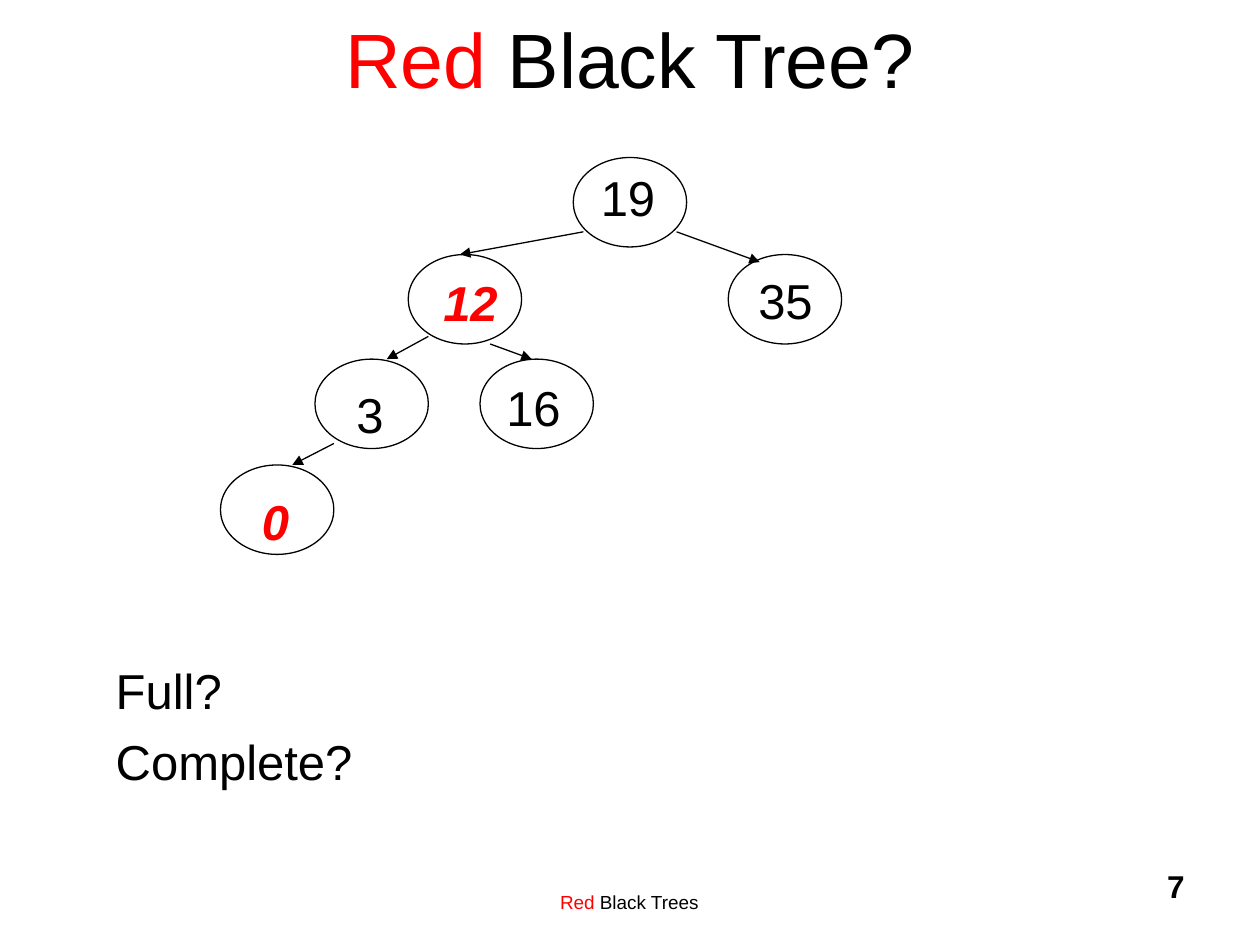
from lxml import etree
from pptx import Presentation
from pptx.dml.color import RGBColor
from pptx.enum import shapes, text
from pptx.oxml.ns import qn
from pptx.util import Inches, Pt

BLACK, RED = "000000", "FF0000"
NODE_WIDTH, NODE_HEIGHT = 0.9, 0.71
LABEL_HEIGHT = 0.57

# value, node left, node top, label left, label top, is red
NODES = [
    ("19", 4.55, 1.25, 4.67, 1.28, False),
    ("12", 3.24, 2.02, 3.42, 2.11, True),
    ("35", 5.78, 2.02, 5.92, 2.10, False),
    ("3", 2.50, 2.85, 2.73, 3.00, False),
    ("16", 3.81, 2.85, 3.92, 2.95, False),
    ("0", 1.75, 3.69, 1.98, 3.85, True),
]
EDGES = [
    ((4.63, 1.84), (3.65, 2.02)),
    ((5.37, 1.84), (6.03, 2.08)),
    ((3.40, 2.67), (3.07, 2.85)),
    ((3.89, 2.73), (4.22, 2.85)),
    ((2.65, 3.52), (2.32, 3.69)),
]
TITLE = [("Red", RED), (" Black Tree?", BLACK)]
FOOTER = [("Red", RED), (" Black Trees", BLACK)]
QUESTIONS = ["Full?", "Complete?"]
SLIDE_NUMBER = "7"


def color(value):
    return RGBColor.from_string(value)


def add_text(slide, paragraphs, box, size=28, bold=False, italic=False,
             align=text.PP_ALIGN.LEFT, anchor=text.MSO_ANCHOR.TOP,
             wrap=True, before=0, top_inset=0.05):
    shape = slide.shapes.add_textbox(*map(Inches, box))
    frame = shape.text_frame
    frame.word_wrap = wrap
    frame.auto_size = (text.MSO_AUTO_SIZE.NONE if wrap
                       else text.MSO_AUTO_SIZE.SHAPE_TO_FIT_TEXT)
    frame.vertical_anchor = anchor
    frame.margin_top = Inches(top_inset)
    for index, runs in enumerate(paragraphs):
        paragraph = frame.add_paragraph() if index else frame.paragraphs[0]
        paragraph.alignment = align
        paragraph.space_before = Pt(before)
        for words, tint in runs:
            run = paragraph.add_run()
            run.text = words
            run.font.name = "Arial"
            run.font.size = Pt(size)
            run.font.bold = bold
            run.font.italic = italic
            run.font.color.rgb = color(tint)


def add_node(slide, value, left, top, label_left, label_top, is_red):
    node = slide.shapes.add_shape(
        shapes.MSO_SHAPE.OVAL, *map(Inches, (left, top, NODE_WIDTH, NODE_HEIGHT)))
    node.shadow.inherit = False
    node.fill.background()
    node.line.color.rgb = color(BLACK)
    node.line.width = Pt(0.75)
    label_width = 0.63 if len(value) == 2 else 0.41
    add_text(slide, [[(value, RED if is_red else BLACK)]],
             (label_left, label_top, label_width, LABEL_HEIGHT),
             bold=is_red, italic=is_red, wrap=False, before=7)


def add_arrow(slide, start, end):
    arrow = slide.shapes.add_connector(
        shapes.MSO_CONNECTOR.STRAIGHT, *map(Inches, start + end))
    arrow.line.color.rgb = color(BLACK)
    arrow.line.width = Pt(0.75)
    etree.SubElement(arrow.line._get_or_add_ln(), qn("a:tailEnd"), type="triangle")
    etree.SubElement(arrow._element.spPr, qn("a:effectLst"))


def main():
    presentation = Presentation()
    presentation.slide_width = Inches(10)
    presentation.slide_height = Inches(7.5)
    slide = presentation.slides.add_slide(presentation.slide_layouts[6])

    add_text(slide, [FOOTER], (3.08, 6.83, 3.83, 0.5), size=10.8,
             align=text.PP_ALIGN.CENTER, top_inset=0.24)
    add_text(slide, [[(SLIDE_NUMBER, BLACK)]], (7.42, 6.83, 2.08, 0.5),
             size=18, bold=True, align=text.PP_ALIGN.RIGHT)
    add_text(slide, [TITLE], (0.75, -0.17, 8.5, 1.25), size=44,
             align=text.PP_ALIGN.CENTER, anchor=text.MSO_ANCHOR.MIDDLE)
    for node in NODES:
        add_node(slide, *node)
    for start, end in EDGES:
        add_arrow(slide, start, end)
    add_text(slide, [[(question, BLACK)] for question in QUESTIONS],
             (0.82, 4.74, 2.08, 1.6), wrap=False, before=7, top_inset=0.5)

    presentation.save("out.pptx")


if __name__ == "__main__":
    main()
